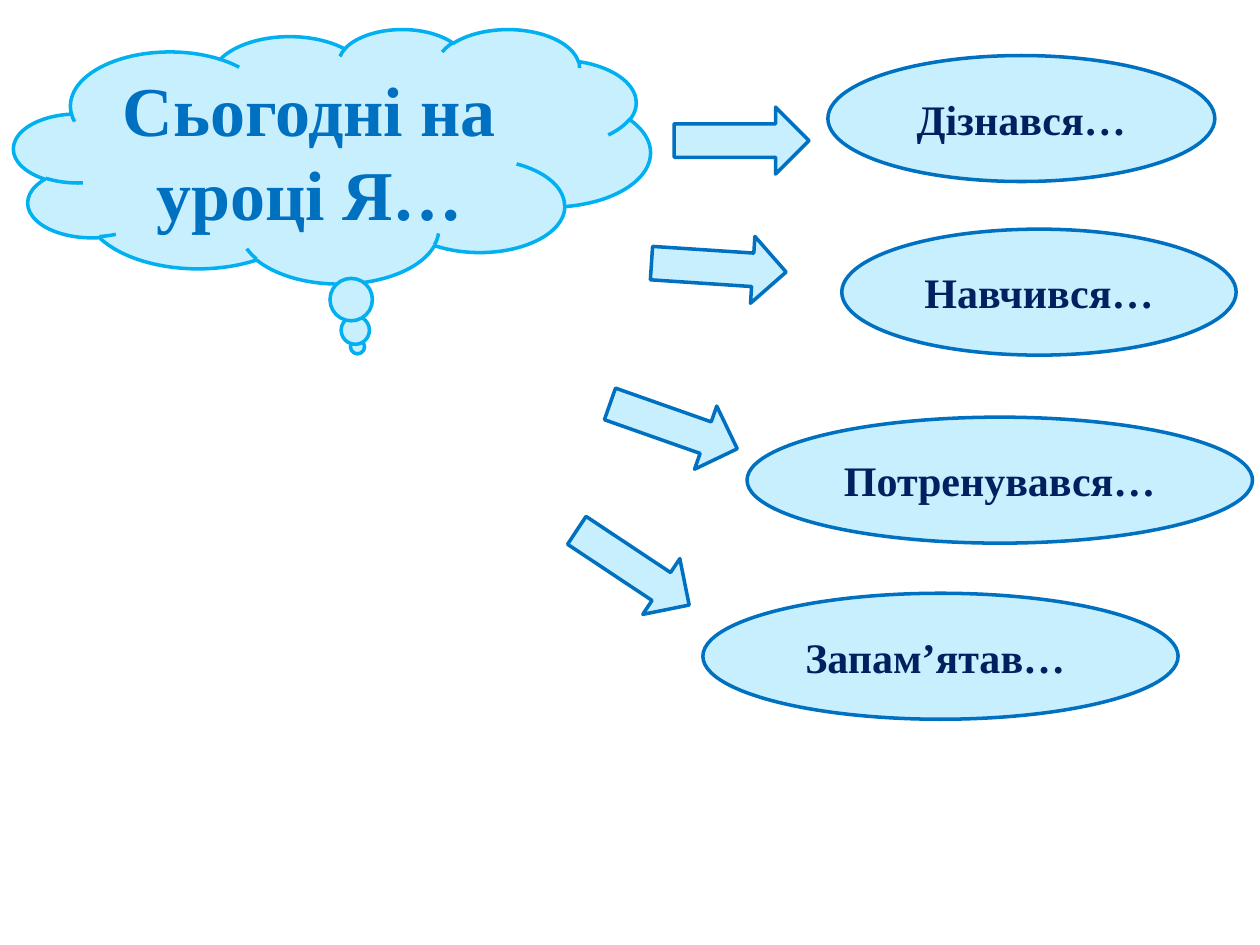
from dataclasses import dataclass

from pptx import Presentation
from pptx import util as u
from pptx.dml.color import RGBColor
from pptx.enum import shapes, text

FONT = "Times New Roman"
PALE, BLUE, SKY, NAVY = "C8EFFD", "0070C0", "00B0F0", "002060"
OVAL_HEIGHT = 2.54
ARROW_SIZE = (2.72, 1.35)


@dataclass
class Answer:
    """An oval with its arrow; lengths in centimetres."""
    label: str
    left: float
    top: float
    width: float
    arrow_left: float
    arrow_top: float
    arrow_turn: float


ANSWERS = [
    Answer("Дізнався…", 16.69, 1.12, 7.8, 13.59, 2.16, 0),
    Answer("Навчився…", 16.97, 4.62, 7.95, 13.13, 4.72, 3.8),
    Answer("Потренувався…", 15.06, 8.41, 10.19, 12.22, 7.92, 19.4),
    Answer("Запам’ятав… ", 14.17, 11.96, 9.58, 11.4, 10.77, 33.6),
]


def colour(value: str) -> RGBColor:
    return RGBColor.from_string(value)


def add_outlined(page, kind, left: float, top: float, width: float,
                 height: float, outline: str = BLUE):
    shape = page.shapes.add_shape(
        kind, u.Cm(left), u.Cm(top), u.Cm(width), u.Cm(height))
    shape.shadow.inherit = False
    shape.fill.solid()
    shape.fill.fore_color.rgb = colour(PALE)
    shape.line.color.rgb = colour(outline)
    shape.line.width = u.Pt(2)
    return shape


def write(shape, words: str, size: float, ink: str) -> None:
    frame = shape.text_frame
    frame.word_wrap = True
    frame.vertical_anchor = text.MSO_ANCHOR.MIDDLE
    para = frame.paragraphs[0]
    para.text = words
    para.alignment = text.PP_ALIGN.CENTER
    para.font.name = FONT
    para.font.size = u.Pt(size)
    para.font.bold = True
    para.font.color.rgb = colour(ink)


def main() -> None:
    deck = Presentation()
    deck.slide_width, deck.slide_height = u.Cm(25.4), u.Cm(19.05)
    page = deck.slides.add_slide(deck.slide_layouts[6])

    # Answers
    for answer in ANSWERS:
        oval = add_outlined(page, shapes.MSO_SHAPE.OVAL, answer.left,
                            answer.top, answer.width, OVAL_HEIGHT)
        write(oval, answer.label, 24, NAVY)

    # Arrows towards the answers
    for answer in ANSWERS:
        arrow = add_outlined(page, shapes.MSO_SHAPE.RIGHT_ARROW,
                             answer.arrow_left, answer.arrow_top, *ARROW_SIZE)
        arrow.rotation = answer.arrow_turn

    # Thought cloud
    cloud = add_outlined(page, shapes.MSO_SHAPE.CLOUD_CALLOUT,
                         0.28, 0.58, 12.83, 5.13, SKY)
    cloud.adjustments[0] = 0.04
    cloud.adjustments[1] = 0.75
    write(cloud, "Сьогодні на уроці Я…", 40, BLUE)

    deck.save("out.pptx")


if __name__ == "__main__":
    main()
